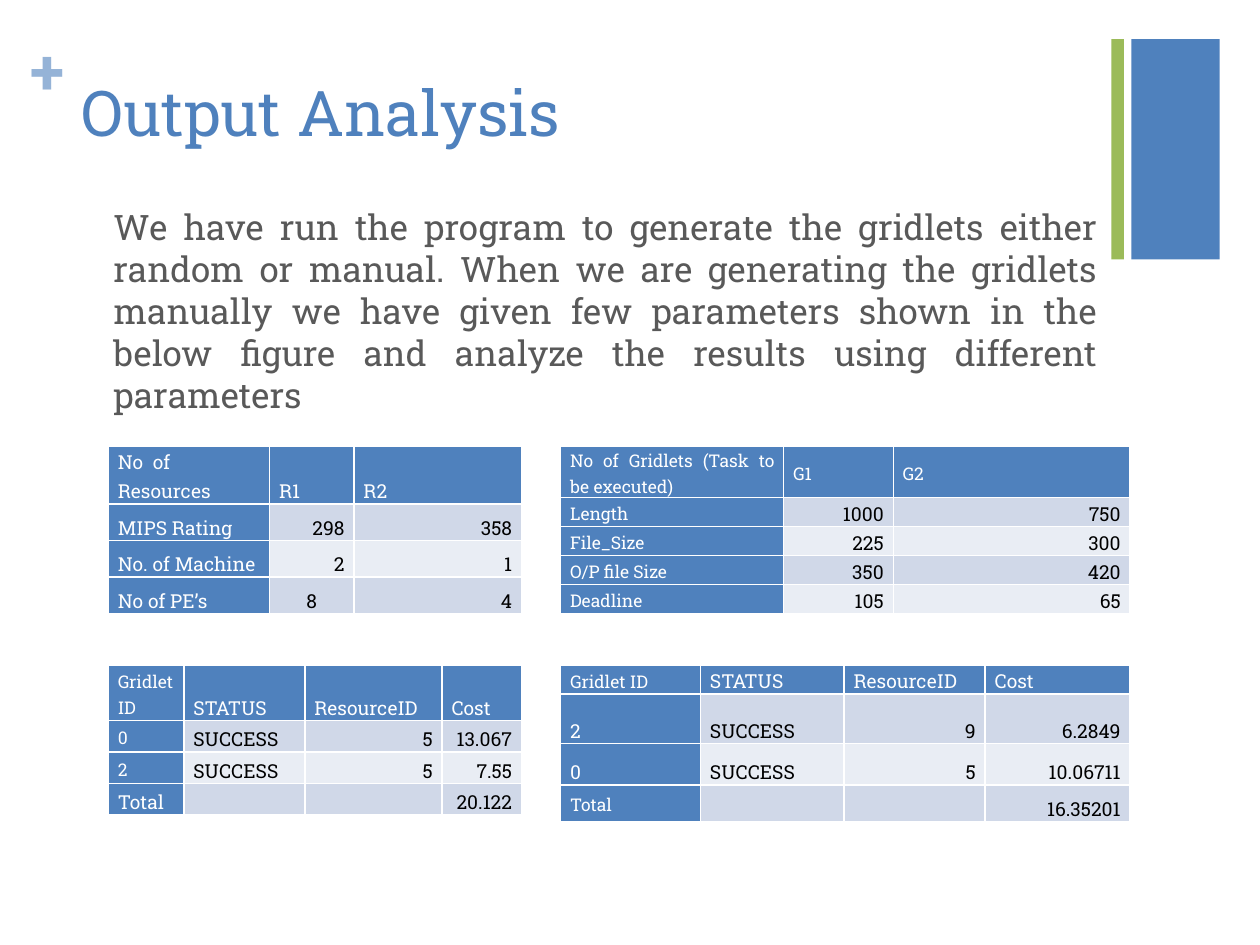
from lxml import etree
from pptx import Presentation
from pptx import util as u
from pptx.dml.color import RGBColor
from pptx.enum import shapes, text
from pptx.oxml import ns

FONT = "Roboto Slab"
BLUE = RGBColor(0x4F, 0x81, 0xBD)
GREEN = RGBColor(0x9B, 0xBB, 0x59)
PALE_BLUE = RGBColor(0x95, 0xB3, 0xD7)
GREY = RGBColor(0x59, 0x59, 0x59)
WHITE = RGBColor(0xFF, 0xFF, 0xFF)
BLACK = RGBColor(0, 0, 0)
BANDS = [RGBColor(0xE9, 0xED, 0xF4), RGBColor(0xD0, 0xD8, 0xE8)]

TITLE = "Output Analysis"
BODY = (
    "\tWe have run the program to generate the gridlets either random or manual. "
    "When we are generating the gridlets manually we have given few parameters "
    "shown in the below figure and analyze the results using different parameters"
)
BARS = [(8.98, 0.7, BLUE), (8.82, 0.1, GREEN)]
LEFT, RIGHT = 0.86, 4.45
UPPER, LOWER = 3.54, 5.28
RESULT_HEAD = ["Gridlet ID", "STATUS", "ResourceID", "Cost"]
TABLES = [
    dict(at=(LEFT, UPPER), widths=[1.28, 0.67, 1.33], heights=[0.46] + [0.29] * 3,
         small=set(),
         rows=[["No  of Resources", "R1", "R2"],
               ["MIPS Rating", "298", "358"],
               ["No. of Machine", "2", "1"],
               ["No of PE’s", "8", "4"]],
         align={(0, 0): text.PP_ALIGN.LEFT, (3, 1): text.PP_ALIGN.CENTER}),
    dict(at=(RIGHT, UPPER), widths=[1.77, 0.87, 1.88], heights=[0.41] + [0.23] * 4,
         small={(0, 0), (0, 1), (0, 2), (1, 0), (2, 0), (3, 0), (4, 0)},
         rows=[["No of Gridlets (Task to be executed)", "G1", "G2"],
               ["Length", "1000", "750"],
               ["File_Size", "225", "300"],
               ["O/P file Size", "350", "420"],
               ["Deadline", "105", "65"]],
         align={}),
    dict(at=(LEFT, LOWER), widths=[0.6, 0.96, 1.09, 0.63], heights=[0.44] + [0.25] * 3,
         small={(0, 0), (1, 0), (2, 0)},
         rows=[RESULT_HEAD,
               ["0", "SUCCESS", "5", "13.067"],
               ["2", "SUCCESS", "5", "7.55"],
               ["Total", "", "", "20.122"]],
         align={}),
    dict(at=(RIGHT, LOWER), widths=[1.11, 1.14, 1.12, 1.15],
         heights=[0.23, 0.39, 0.33, 0.29],
         small={(0, 0), (3, 0)},
         rows=[RESULT_HEAD,
               ["2", "SUCCESS", "9", "6.2849"],
               ["0", "SUCCESS", "5", "10.06711"],
               ["Total", "", "", "16.35201"]],
         align={}),
]


def style(para, size, color, align=text.PP_ALIGN.LEFT, bold=False):
    para.alignment = align
    para.font.name = FONT
    para.font.size = u.Pt(size)
    para.font.color.rgb = color
    para.font.bold = bold


def place(shape, left, top, width, height):
    shape.left, shape.top = u.Inches(left), u.Inches(top)
    shape.width, shape.height = u.Inches(width), u.Inches(height)


def add_borders(cell):
    props = cell._tc.get_or_add_tcPr()
    for index, side in enumerate(["lnL", "lnR", "lnT", "lnB"]):
        line = etree.Element(ns.qn("a:" + side), w=str(u.Pt(1)))
        fill = etree.SubElement(line, ns.qn("a:solidFill"))
        etree.SubElement(fill, ns.qn("a:srgbClr"), val=str(WHITE))
        props.insert(index, line)


def fill_cell(cell, words, row, column, small, align):
    label = row == 0 or column == 0
    numeric = not label and words.replace(".", "").isdigit()
    cell.margin_left = cell.margin_right = u.Pt(5.4)
    cell.margin_top = cell.margin_bottom = 0
    cell.vertical_anchor = text.MSO_ANCHOR.MIDDLE if small else text.MSO_ANCHOR.BOTTOM
    cell.fill.solid()
    cell.fill.fore_color.rgb = BLUE if label else BANDS[row % 2]
    add_borders(cell)
    para = cell.text_frame.paragraphs[0]
    para.text = words
    default = text.PP_ALIGN.RIGHT if numeric else text.PP_ALIGN.JUSTIFY
    style(para, 10 if small else 11, WHITE if label else BLACK, align or default)
    para.line_spacing = 1.14
    if not words:
        etree.SubElement(para._p, ns.qn("a:endParaRPr"), sz="1100")


def add_grid(page, at, widths, heights, small, rows, align):
    frame = page.shapes.add_table(
        len(rows), len(widths), *map(u.Inches, (*at, sum(widths), sum(heights))))
    table = frame.table
    table.first_row = table.horz_banding = False
    for column, width in zip(table.columns, widths):
        column.width = u.Inches(width)
    for row, height in zip(table.rows, heights):
        row.height = u.Inches(height)
    for r, row in enumerate(rows):
        for c, words in enumerate(row):
            fill_cell(table.cell(r, c), words, r, c, (r, c) in small, align.get((r, c)))


deck = Presentation()
deck.slide_width, deck.slide_height = u.Inches(10), u.Inches(7.5)
page = deck.slides.add_slide(deck.slide_layouts[1])

for left, width, color in BARS:
    bar = page.shapes.add_shape(
        shapes.MSO_SHAPE.RECTANGLE, *map(u.Inches, (left, 0.31, width, 1.75)))
    bar.shadow.inherit = False
    bar.fill.solid()
    bar.fill.fore_color.rgb = color
    bar.line.fill.background()

plus = page.shapes.add_textbox(*map(u.Inches, (0.24, 0.25, 0.29, 0.61))).text_frame
plus.margin_left = plus.margin_right = plus.margin_top = plus.margin_bottom = 0
plus.word_wrap = True
plus.auto_size = text.MSO_AUTO_SIZE.SHAPE_TO_FIT_TEXT
plus.text = "+"
style(plus.paragraphs[0], 36, PALE_BLUE, bold=True)

title, body = page.shapes.title, page.placeholders[1]
place(title, 0.55, 0.53, 8.26, 1.22)
place(body, 0.55, 1.58, 8.26, 5.12)
for box, words in [(title, TITLE), (body, BODY)]:
    box.text_frame.text = words
    box.text_frame.auto_size = text.MSO_AUTO_SIZE.NONE
    box.text_frame.vertical_anchor = text.MSO_ANCHOR.TOP
style(title.text_frame.paragraphs[0], 36, BLUE)
para = body.text_frame.paragraphs[0]
style(para, 20, GREY, text.PP_ALIGN.JUSTIFY)
para.line_spacing = 1.0
para.space_before = u.Pt(2)
indent = para._p.get_or_add_pPr()
indent.set("marL", str(u.Inches(0.25)))
indent.set("indent", str(u.Inches(-0.22)))
bullet = etree.Element(ns.qn("a:buNone"))
indent.find(ns.qn("a:defRPr")).addprevious(bullet)

for grid in TABLES:
    add_grid(page, **grid)

deck.save("out.pptx")
